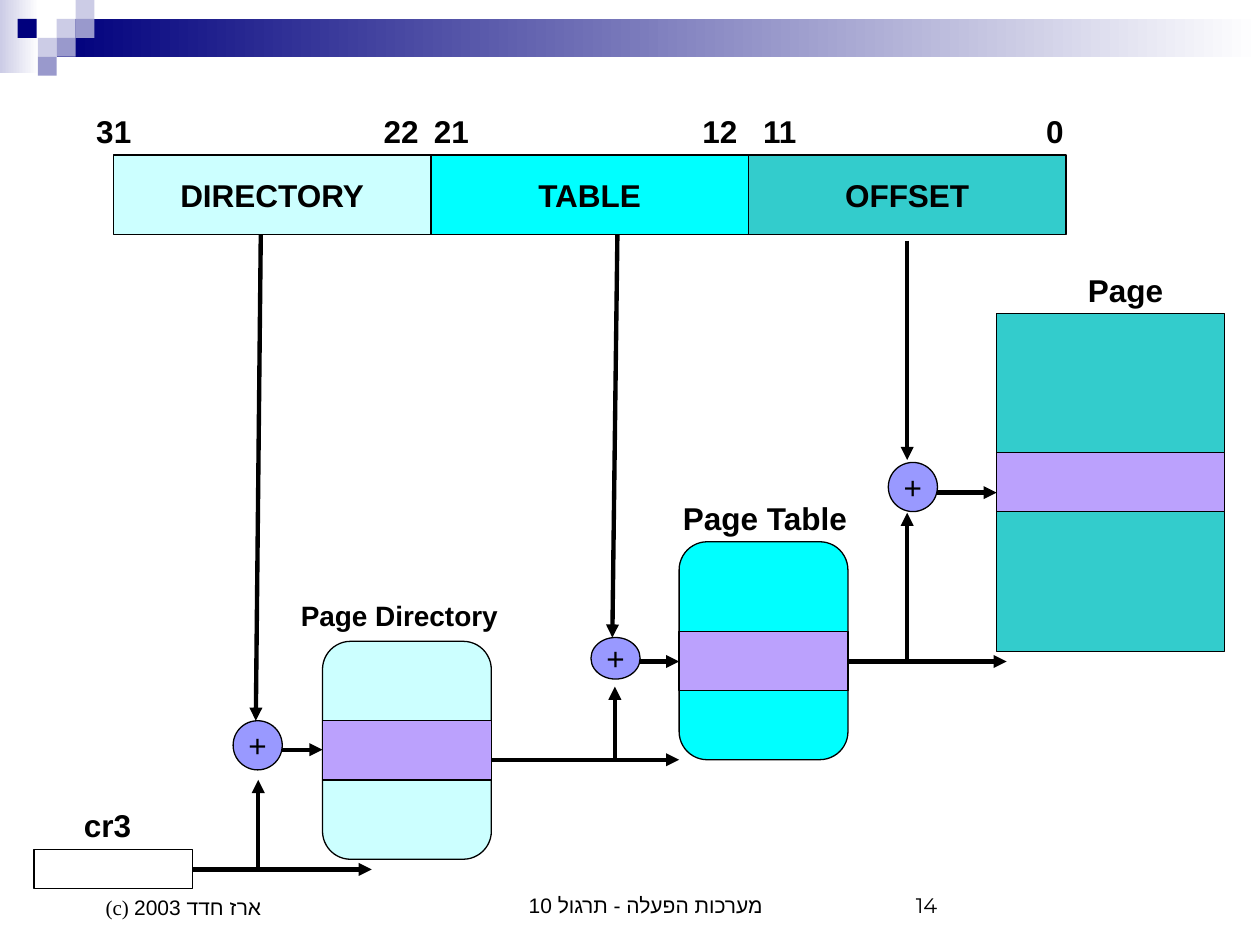
from lxml import etree
from pptx import Presentation
from pptx.dml.color import RGBColor
from pptx.enum.shapes import MSO_CONNECTOR, MSO_SHAPE
from pptx.enum.text import MSO_ANCHOR, MSO_AUTO_SIZE, PP_ALIGN
from pptx.oxml.ns import qn
from pptx.util import Inches, Pt

RECT, ROUNDED, OVAL = MSO_SHAPE.RECTANGLE, MSO_SHAPE.ROUNDED_RECTANGLE, MSO_SHAPE.OVAL
STRAIGHT = MSO_CONNECTOR.STRAIGHT
LEFT, CENTER, RIGHT = PP_ALIGN.LEFT, PP_ALIGN.CENTER, PP_ALIGN.RIGHT
MIDDLE, BOTTOM = MSO_ANCHOR.MIDDLE, MSO_ANCHOR.BOTTOM
FIT_SHAPE = MSO_AUTO_SIZE.SHAPE_TO_FIT_TEXT

BLACK, WHITE, NAVY = "000000", "FFFFFF", "00007D"
PALE, MUTED = "CCCCE6", "9999CC"
DIRECTORY, TABLE, PAGE = "CCFFFF", "00FFFF", "33CCCC"
SLOT, ADDER = "BBA1FD", "9999FF"


def color(value):
    return RGBColor.from_string(value)


def add_box(s, kind, x, y, w, h, fill=None, line=BLACK):
    sp = s.shapes.add_shape(kind, Inches(x), Inches(y), Inches(w), Inches(h))
    sp.shadow.inherit = False
    if fill:
        sp.fill.solid()
        sp.fill.fore_color.rgb = color(fill)
    else:
        sp.fill.background()
    if line:
        sp.line.color.rgb = color(line)
        sp.line.width = Pt(0.75)
    else:
        sp.line.fill.background()
    return sp


def add_gradient(s, x, y, w, h, right, left):
    sp = add_box(s, RECT, x, y, w, h, line=None)
    sp.fill.gradient()
    sp.fill.gradient_angle = 180
    for stop, value in zip(sp.fill.gradient_stops, (right, left)):
        stop.color.rgb = color(value)


def set_text(sp, text, size=18, bold=True, align=CENTER, font="Arial"):
    p = sp.text_frame.paragraphs[0]
    p.text = text
    p.alignment = align
    for r in p.runs:
        r.font.size, r.font.bold, r.font.name = Pt(size), bold, font
        r.font.color.rgb = color(BLACK)
    return p


def add_text(s, text, x, y, w, h, **style):
    sp = s.shapes.add_textbox(Inches(x), Inches(y), Inches(w), Inches(h))
    sp.text_frame.word_wrap = True
    set_text(sp, text, **style)
    return sp


def add_label(s, text, x, y, w, size=18):
    sp = add_text(s, text, x, y, w, 0.4 if size == 18 else 0.37, size=size, align=RIGHT)
    sp.text_frame.auto_size = FIT_SHAPE


def add_centered(s, kind, text, x, y, w, h, fill, bold):
    sp = add_box(s, kind, x, y, w, h, fill)
    sp.text_frame.word_wrap = False
    sp.text_frame.vertical_anchor = MIDDLE
    set_text(sp, text, bold=bold)


def add_arrow(s, x1, y1, x2, y2):
    c = s.shapes.add_connector(STRAIGHT, Inches(x1), Inches(y1), Inches(x2), Inches(y2))
    c.line.color.rgb = color(BLACK)
    c.line.width = Pt(2.5)
    etree.SubElement(c.line._get_or_add_ln(), qn("a:tailEnd"), type="triangle")
    etree.SubElement(c._element.spPr, qn("a:effectLst"))


def add_banner(s, x, y):
    add_gradient(s, x, y, 0.31, 0.58, WHITE, PALE)
    add_gradient(s, x + 0.45, y + 0.15, 9.55, 0.3, WHITE, NAVY)
    squares = [(0.45, 0.15, PALE), (0.6, 0, PALE), (0.6, 0.15, MUTED), (0.3, 0.3, PALE),
               (0.14, 0.15, NAVY), (0.45, 0.3, MUTED), (0.3, 0.45, MUTED)]
    for dx, dy, fill in squares:
        add_box(s, RECT, x + dx, y + dy, 0.15, 0.15, fill, line=None)


def add_address(s, x, y, w, h):
    """Linear address: three equal fields with bit numbers above."""
    fields = [("DIRECTORY", DIRECTORY), ("TABLE", TABLE), ("OFFSET", PAGE)]
    for i, (name, fill) in enumerate(fields):
        add_centered(s, RECT, name, x + i * w / 3, y, w / 3, h, fill, True)
    bits = [("31", -0.63, 0.87), ("22", 1.97, 0.55), ("21", 2.37, 0.55),
            ("12", 4.34, 0.71), ("11", 4.81, 0.71), ("0", 7.25, 0.39)]
    for bit, dx, width in bits:
        add_label(s, bit, x + dx, y - 0.39, width)


def add_memory(s, kind, x, y, w, h, fill, slot_dy):
    """Memory block with one highlighted entry."""
    add_box(s, kind, x, y, w, h, fill)
    add_box(s, RECT, x, y + slot_dy, w, 0.47, SLOT)


def add_register(s, x, y, w, h):
    add_box(s, RECT, x, y, w, h)
    add_label(s, "cr3", x + 0.24, y - 0.39, 0.63)


def add_footer(s, x, y):
    items = [("(c) ארז חדד 2003", 0, 2.33, 0.52, LEFT, "Times New Roman", 0.24),
             ("מערכות הפעלה - תרגול 10", 2.92, 3.17, 0.5, CENTER, "Times New Roman", 0.24),
             ("14", 6.67, 2.33, 0.5, LEFT, "Montserrat", 0)]
    for text, dx, w, h, align, font, margin in items:
        sp = add_text(s, text, x + dx, y, w, h, size=12, bold=False, align=align, font=font)
        sp.text_frame.vertical_anchor = BOTTOM
        p = sp.text_frame.paragraphs[0]
        p._p.get_or_add_pPr().set("marL", str(Inches(margin)))
        etree.SubElement(p.runs[0].font._element, qn("a:cs"), typeface="Arial")


def main():
    prs = Presentation()
    prs.slide_width, prs.slide_height = Inches(10), Inches(7.5)
    s = prs.slides.add_slide(prs.slide_layouts[6])

    add_banner(s, 0, 0)
    add_address(s, 0.9, 1.23, 7.56, 0.63)
    add_register(s, 0.27, 6.74, 1.26, 0.31)

    arrows = [
        # address field to adder
        (2.07, 1.86, 2.03, 5.72), (4.9, 1.86, 4.86, 5.06), (7.2, 1.91, 7.2, 3.65),
        # base address to the next block
        (1.53, 6.9, 2.95, 6.9), (3.9, 6.03, 5.39, 6.03), (6.73, 5.25, 7.99, 5.25),
        # base address up to adder
        (2.05, 6.9, 2.05, 6.19), (4.88, 6.03, 4.88, 5.45), (7.2, 5.25, 7.2, 4.07),
        # adder to selected entry
        (2.16, 5.95, 2.56, 5.95), (5, 5.25, 5.39, 5.25), (7.44, 3.91, 7.91, 3.91),
    ]
    for ends in arrows:
        add_arrow(s, *ends)
    for x, y, h in [(1.85, 5.72, 0.39), (4.69, 5.06, 0.33), (7.05, 3.67, 0.39)]:
        add_centered(s, OVAL, "+", x, y, 0.39, h, ADDER, False)

    add_memory(s, ROUNDED, 2.56, 5.09, 1.34, 1.73, DIRECTORY, 0.63)
    add_memory(s, ROUNDED, 5.39, 4.3, 1.34, 1.73, TABLE, 0.71)
    add_memory(s, RECT, 7.91, 2.49, 1.81, 2.68, PAGE, 1.1)
    add_label(s, "Page Directory", 1.85, 4.7, 2.2, size=16)
    add_label(s, "Page Table", 5.24, 3.91, 1.58)
    add_label(s, "Page", 8.07, 2.1, 1.26)

    add_footer(s, 0.5, 6.83)
    prs.save("out.pptx")


if __name__ == "__main__":
    main()
